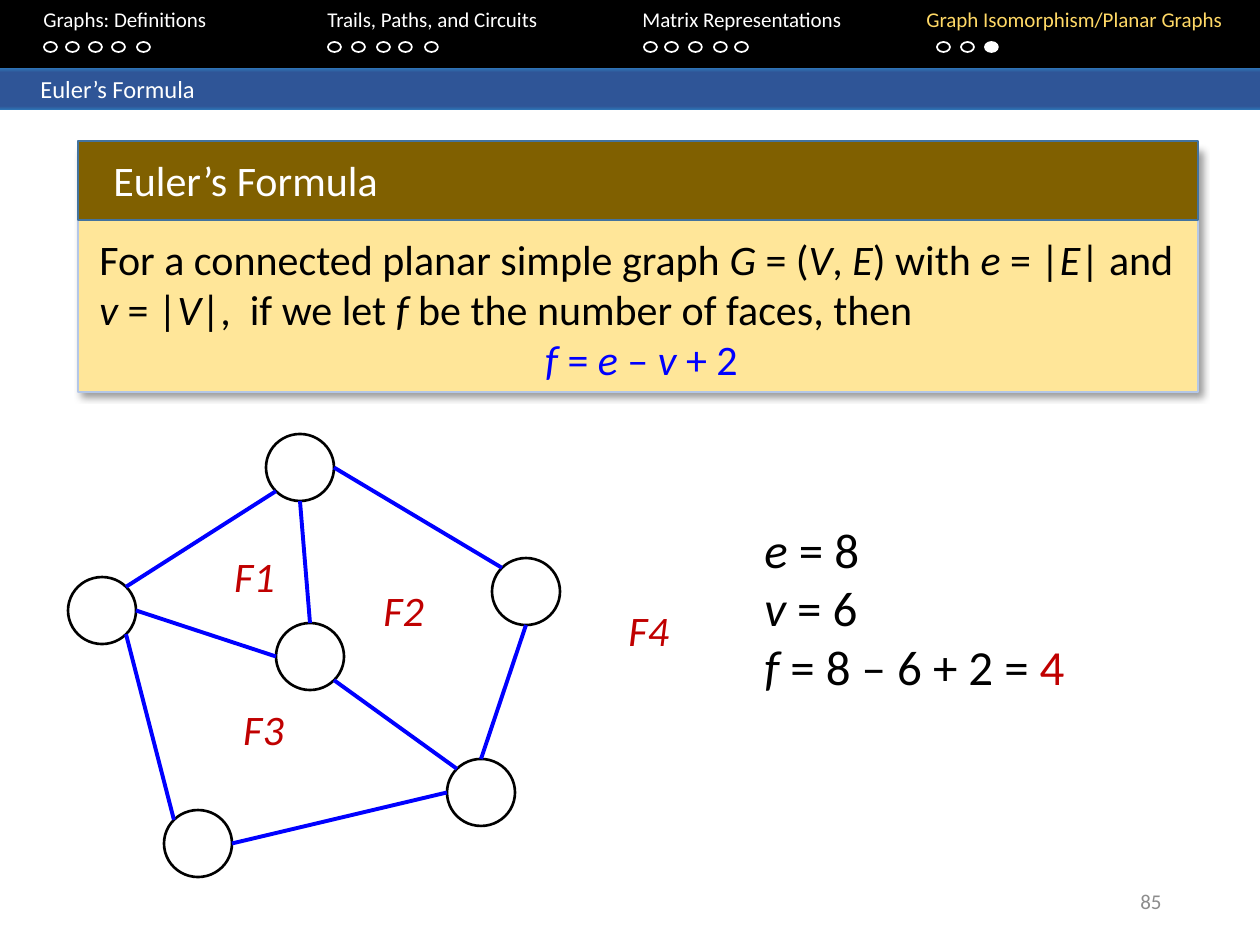
from itertools import cycle
from math import cos, radians, sin

from lxml import etree
from pptx import Presentation
from pptx import util as u
from pptx.dml.color import RGBColor
from pptx.enum import shapes, text
from pptx.oxml.ns import qn

BLACK = RGBColor(0x00, 0x00, 0x00)
WHITE = RGBColor(0xFF, 0xFF, 0xFF)
GOLD = RGBColor(0xFF, 0xD9, 0x66)
CREAM = RGBColor(0xFF, 0xE6, 0x99)
BROWN = RGBColor(0x80, 0x60, 0x00)
PALE_BLUE = RGBColor(0xB4, 0xC7, 0xE7)
STEEL = RGBColor(0x43, 0x73, 0x9E)
BLUE = RGBColor(0x00, 0x00, 0xFF)
RED = RGBColor(0xC0, 0x00, 0x00)
GRAY = RGBColor(0x8C, 0x8C, 0x8C)
BAND_EDGE = RGBColor(0x2E, 0x75, 0xB6)
BAND = RGBColor(0x2F, 0x55, 0x97)

RECT = shapes.MSO_SHAPE.RECTANGLE
OVAL = shapes.MSO_SHAPE.OVAL
LEFT, CENTER, RIGHT = text.PP_ALIGN.LEFT, text.PP_ALIGN.CENTER, text.PP_ALIGN.RIGHT
TOP, MIDDLE = text.MSO_ANCHOR.TOP, text.MSO_ANCHOR.MIDDLE


def emu(px):
    return u.Emu(round(px * 914400 / 126))


class Deck:
    font = "Calibri"

    def __init__(self):
        self.prs = Presentation()
        self.prs.slide_width, self.prs.slide_height = emu(1260), emu(945)
        self.s = self.prs.slides.add_slide(self.prs.slide_layouts[6])

    def shape(self, kind, box, fill=None, line=None, width=1):
        sp = self.s.shapes.add_shape(kind, *map(emu, box))
        sp.shadow.inherit = False
        if fill is None:
            sp.fill.background()
        else:
            sp.fill.solid()
            sp.fill.fore_color.rgb = fill
        if line is None:
            sp.line.fill.background()
        else:
            sp.line.color.rgb = line
            sp.line.width = u.Pt(width)
        return sp

    def gradient(self, sp, stops):
        sp.fill.gradient()
        sp.fill.gradient_angle = 270
        gs_list = sp._element.spPr.find(".//" + qn("a:gsLst"))
        for gs in list(gs_list):
            gs_list.remove(gs)
        for percent, color in stops:
            gs = etree.SubElement(gs_list, qn("a:gs"), pos=str(percent * 1000))
            etree.SubElement(gs, qn("a:srgbClr"), val=str(color))

    def drop_shadow(self, sp):
        effects = sp._element.spPr.find(qn("a:effectLst"))
        shadow = etree.SubElement(effects, qn("a:outerShdw"), blurRad=str(u.Pt(4)),
                                  dist=str(u.Pt(3)), dir=str(45 * 60000))
        color = etree.SubElement(shadow, qn("a:srgbClr"), val=str(BLACK))
        etree.SubElement(color, qn("a:alpha"), val="40000")

    def line(self, start, end, color, width):
        cx = self.s.shapes.add_connector(
            shapes.MSO_CONNECTOR.STRAIGHT, *map(emu, (*start, *end)))
        cx.line.color.rgb = color
        cx.line.width = u.Pt(width)
        etree.SubElement(cx._element.spPr, qn("a:effectLst"))

    def text(self, box, lines, size, color, **options):
        sp = self.s.shapes.add_textbox(*map(emu, box))
        self.label(sp, lines, size, color, **options)

    def label(self, sp, lines, size, color, accent=None, aligns=(LEFT,), anchor=TOP, tabs=()):
        """Asterisks enclose italics; a tilde starts the accent colour."""
        tf = sp.text_frame
        tf.word_wrap = True
        tf.vertical_anchor = anchor
        for n, (line, align) in enumerate(zip(lines, cycle(aligns))):
            p = tf.paragraphs[0] if n == 0 else tf.add_paragraph()
            p.alignment = align
            if tabs:
                tab_list = etree.SubElement(p._p.get_or_add_pPr(), qn("a:tabLst"))
                for x in tabs:
                    etree.SubElement(tab_list, qn("a:tab"), pos=str(emu(x)), algn="l")
            p.font.name, p.font.size = self.font, u.Pt(size)
            p.font.color.rgb = color
            for accented, part in enumerate(line.split("~")):
                for i, piece in enumerate(part.split("*")):
                    if piece:
                        self.run(p, piece, i % 2 == 1, accent if accented else None)

    def run(self, p, content, italic, color):
        r = p.add_run()
        r.text = content
        if italic:
            r.font.italic = True
        if color is not None:
            r.font.color.rgb = color


def draw_header(deck):
    deck.shape(RECT, (0, -2, 1260, 70), BLACK)
    deck.text((0, 0, 1260, 63),
              ["\tGraphs: Definitions\tTrails, Paths, and Circuits"
               "\tMatrix Representations\t~Graph Isomorphism/Planar Graphs"],
              12, WHITE, accent=GOLD, tabs=(31, 315, 630, 914))
    progress = (44, 66, 89, 112, 137, 328, 352, 377, 399, 425,
                644, 665, 689, 714, 735, 937, 961, 985)
    for x in progress:
        fill = WHITE if x == progress[-1] else None
        deck.shape(OVAL, (x, 42, 13, 10), fill, WHITE)
    band = deck.shape(RECT, (0, 68, 1260, 42))
    deck.gradient(band, ((0, BAND_EDGE), (11, BAND), (91, BAND), (100, BAND_EDGE)))
    deck.label(band, ["\tEuler’s Formula"], 14, WHITE, anchor=MIDDLE, tabs=(28,))


def draw_theorem(deck):
    deck.drop_shadow(deck.shape(RECT, (78, 148, 1120, 244), CREAM, PALE_BLUE))
    deck.shape(RECT, (78, 141, 1120, 79), BROWN, STEEL)
    deck.text((101, 148, 1120, 63), ["Euler’s Formula"], 24, WHITE)
    deck.text((87, 227, 1109, 165),
              ["For a connected planar simple graph *G* = (*V*, *E*) with *e* = |*E*| and "
               "*v* = |*V*|,  if we let *f* be the number of faces, then",
               "~*f* = *e* – *v* + 2"], 24, BLACK, accent=BLUE, aligns=(LEFT, CENTER))


def draw_graph(deck):
    width, height = 68, 67
    nodes = {"top": (266, 434), "left": (68, 577), "middle": (276, 623),
             "right": (492, 558), "bottom": (164, 810), "lower right": (447, 759)}
    edges = (("top", 135, "left", 315), ("top", 90, "middle", 270),
             ("top", 0, "right", 225), ("right", 90, "lower right", 270),
             ("middle", 45, "lower right", 225), ("left", 0, "middle", 180),
             ("left", 45, "bottom", 225), ("bottom", 0, "lower right", 180))

    def rim(node, angle):
        x, y = nodes[node]
        a = radians(angle)
        return x + width / 2 * (1 + cos(a)), y + height / 2 * (1 + sin(a))

    for x, y in nodes.values():
        deck.shape(OVAL, (x, y, width, height), None, BLACK, 1.5)
    for start, out, end, into in edges:
        deck.line(rim(start, out), rim(end, into), BLUE, 2.25)
    for n, (x, y) in enumerate(((208, 544), (357, 578), (217, 697), (602, 598)), 1):
        deck.text((x, y, 93, 63), [f"*F{n}*"], 24, RED, aligns=(CENTER,))


def main():
    deck = Deck()
    draw_header(deck)
    draw_theorem(deck)
    draw_graph(deck)
    deck.text((752, 513, 384, 190), ["*e* = 8", "*v* = 6", "*f* = 8 – 6 + 2 = ~4"],
              28, BLACK, accent=RED)
    deck.text((890, 876, 284, 50), ["85"], 12, GRAY, aligns=(RIGHT,), anchor=MIDDLE)
    deck.prs.save("out.pptx")


if __name__ == "__main__":
    main()
